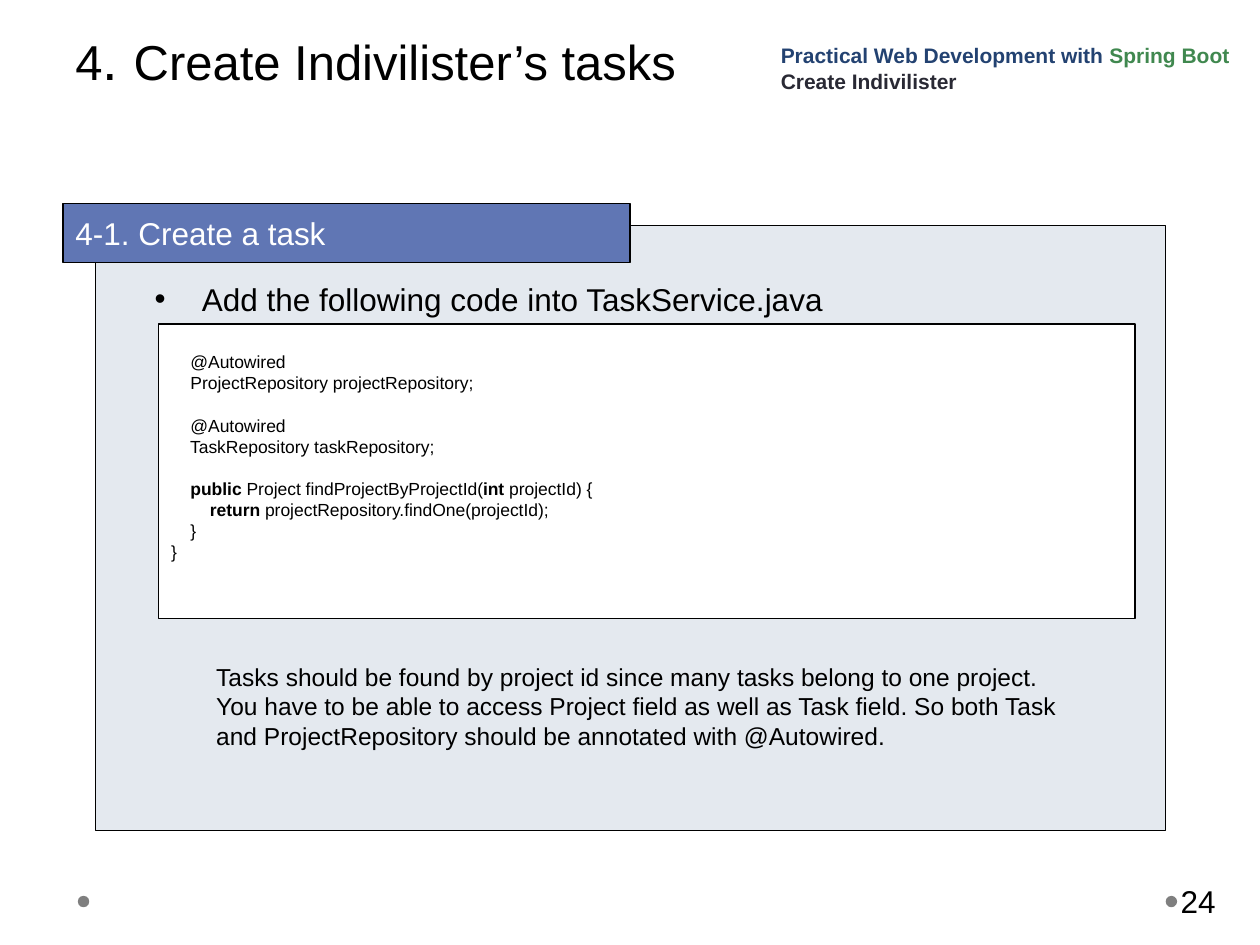
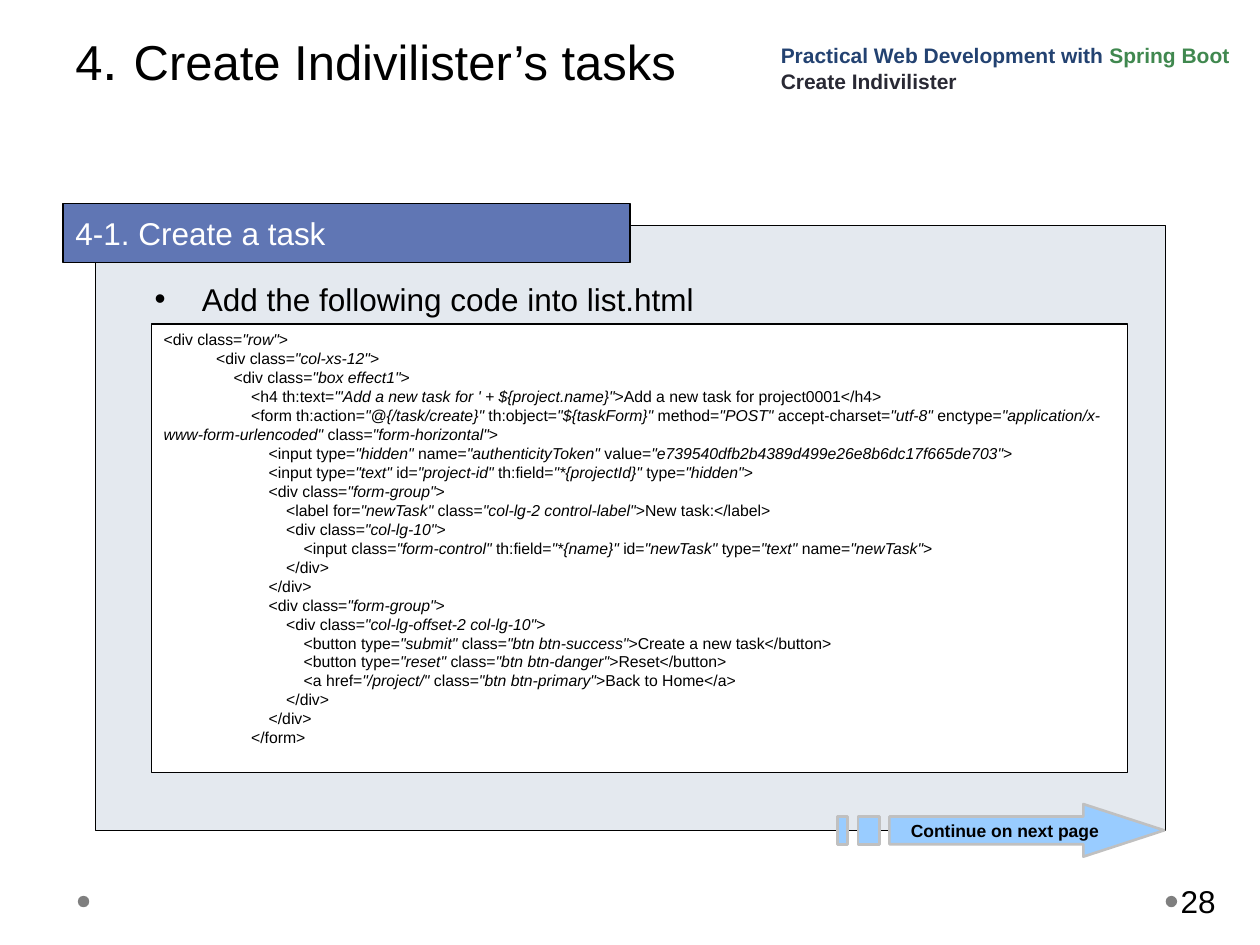
from pptx import Presentation
from pptx.dml.color import RGBColor
from pptx.enum.shapes import MSO_SHAPE
from pptx.enum.text import MSO_ANCHOR, PP_ALIGN
from pptx.oxml.ns import qn
from pptx.util import Cm, Pt
from lxml import etree

RECTANGLE, OVAL = MSO_SHAPE.RECTANGLE, MSO_SHAPE.OVAL
TOP, MIDDLE, BOTTOM = MSO_ANCHOR.TOP, MSO_ANCHOR.MIDDLE, MSO_ANCHOR.BOTTOM
LEFT, CENTER = PP_ALIGN.LEFT, PP_ALIGN.CENTER

BLACK = RGBColor(0x00, 0x00, 0x00)
WHITE = RGBColor(0xFF, 0xFF, 0xFF)
DOT_GREY = RGBColor(0x7F, 0x7F, 0x7F)
PANEL_GREY = RGBColor(0xE4, 0xE9, 0xEF)
HEADING_BLUE = RGBColor(0x60, 0x76, 0xB4)
COURSE_NAVY = RGBColor(0x23, 0x42, 0x71)
COURSE_GREEN = RGBColor(0x40, 0x88, 0x4F)
COURSE_DARK = RGBColor(0x29, 0x29, 0x34)
ARROW_BLUE = RGBColor(0x99, 0xCC, 0xFF)
ARROW_EDGE = RGBColor(0xC0, 0xC0, 0xC0)

FONT = "Arial"
LINE_PITCH = 1.205  # line distance as a multiple of the text size
INDENT = " " * 4

# Code lines as (indent level, text); an empty text is a gap
JAVA_CODE = [
    (0, ""),
    (1, "@Autowired"),
    (1, "ProjectRepository projectRepository;"),
    (0, ""),
    (1, "@Autowired"),
    (1, "TaskRepository taskRepository;"),
    (0, ""),
    (1, "**public** Project findProjectByProjectId(**int** projectId) {"),
    (2, "**return** projectRepository.findOne(projectId);"),
    (1, "}"),
    (0, "}"),
]

HTML_CODE = [
    (0, '<div class="row">'),
    (3, '<div class="col-xs-12">'),
    (4, '<div class="box effect1">'),
    (5, '<h4 th:text="\'Add a new task for \' + ${project.name}">Add a new task for project0001</h4>'),
    (5, '<form th:action="@{/task/create}" th:object="${taskForm}" method="POST" '
        'accept-charset="utf-8" enctype="application/x-www-form-urlencoded" class="form-horizontal">'),
    (6, '<input type="hidden" name="authenticityToken" value="e739540dfb2b4389d499e26e8b6dc17f665de703">'),
    (6, '<input type="text" id="project-id" th:field="*{projectId}" type="hidden">'),
    (6, '<div class="form-group">'),
    (7, '<label for="newTask" class="col-lg-2 control-label">New task:</label>'),
    (7, '<div class="col-lg-10">'),
    (8, '<input class="form-control" th:field="*{name}" id="newTask" type="text" name="newTask">'),
    (7, '</div>'),
    (6, '</div>'),
    (6, '<div class="form-group">'),
    (7, '<div class="col-lg-offset-2 col-lg-10">'),
    (8, '<button type="submit" class="btn btn-success">Create a new task</button>'),
    (8, '<button type="reset" class="btn btn-danger">Reset</button>'),
    (8, '<a href="/project/" class="btn btn-primary">Back to Home</a>'),
    (7, '</div>'),
    (6, '</div>'),
    (5, '</form>'),
]


# Basic elements
def paint(shape, fill, line=None, width=0.75):
    shape.shadow.inherit = False
    shape.fill.solid()
    shape.fill.fore_color.rgb = fill
    if line is None:
        shape.line.fill.background()
    else:
        shape.line.color.rgb = line
        shape.line.width = Pt(width)


def add_block(slide, kind, box, fill, line=None):
    shape = slide.shapes.add_shape(kind, *map(Cm, box))
    paint(shape, fill, line)
    return shape


def add_text_box(slide, box, anchor=TOP):
    frame = slide.shapes.add_textbox(*map(Cm, box)).text_frame
    frame.word_wrap = True
    frame.vertical_anchor = anchor
    return frame


def add_run(paragraph, text, size, color=BLACK, bold=False, italic=False):
    run = paragraph.add_run()
    run.text = text
    font = run.font
    font.name, font.size = FONT, Pt(size)
    font.bold, font.italic = bold, italic
    font.color.rgb = color


def set_pitch(paragraph, size):
    paragraph.line_spacing = Pt(LINE_PITCH * size)


# Parts found on every slide
def add_title(slide):
    title = add_text_box(slide, (1.27, 0.15, 14, 2.03), MIDDLE).paragraphs[0]
    for text, size in (("4", 28), (". ", 32), ("Create Indivilister’s tasks", 28)):
        add_run(title, text, size)


def add_course_label(slide):
    frame = add_text_box(slide, (15.49, 0.61, 9.91, 1.4), BOTTOM)
    course, chapter = frame.paragraphs[0], frame.add_paragraph()
    add_run(course, "Practical Web Development with ", 12, COURSE_NAVY, bold=True)
    add_run(course, "Spring Boot", 12, COURSE_GREEN, bold=True)
    add_run(chapter, "Create Indivilister", 12, COURSE_DARK, bold=True)
    for paragraph in (course, chapter):
        set_pitch(paragraph, 12)


def add_footer(slide, page):
    for left in (1.57, 23.5):
        add_block(slide, OVAL, (left, 18.06, 0.23, 0.23), DOT_GREY)
    frame = add_text_box(slide, (23.72, 17.65, 1.55, 1.02), MIDDLE)
    frame.margin_left, frame.margin_right = Cm(0.08), Cm(0.13)
    add_run(frame.paragraphs[0], page, 18)


def add_section(slide, heading):
    add_block(slide, RECTANGLE, (1.93, 4.55, 21.56, 12.19), PANEL_GREY, BLACK)
    band = add_block(slide, RECTANGLE, (1.27, 4.11, 11.43, 1.19), HEADING_BLUE, BLACK)
    band.text_frame.vertical_anchor = MIDDLE
    paragraph = band.text_frame.paragraphs[0]
    paragraph.alignment = LEFT
    add_run(paragraph, heading, 18, WHITE)


def add_instruction(slide, text):
    paragraph = add_text_box(slide, (2.87, 5.51, 19.66, 1.02)).paragraphs[0]
    properties = paragraph._p.get_or_add_pPr()
    properties.set("marL", str(Cm(0.95)))
    properties.set("indent", str(-Cm(0.95)))
    etree.SubElement(properties, qn("a:buFont")).set("typeface", FONT)
    etree.SubElement(properties, qn("a:buChar")).set("char", "•")
    set_pitch(paragraph, 18)
    add_run(paragraph, text, 18)


def start_slide(deck, page, instruction):
    slide = deck.slides.add_slide(deck.slide_layouts[6])
    add_footer(slide, page)
    add_section(slide, "4-1. Create a task")
    add_title(slide)
    add_instruction(slide, instruction)
    add_course_label(slide)
    return slide


# Code listings
def java_runs(line):
    """Text between double asterisks is a bold keyword."""
    for index, piece in enumerate(line.split("**")):
        yield piece, {"bold": index % 2 == 1}


def html_runs(line):
    """Quoted attribute values are italic."""
    for index, piece in enumerate(line.split('"')):
        quoted = index % 2 == 1
        yield (f'"{piece}"' if quoted else piece), {"italic": quoted}


def add_code(slide, box, code, size, split_runs):
    frame = add_block(slide, RECTANGLE, box, WHITE, BLACK).text_frame
    frame.word_wrap = True
    frame.vertical_anchor = TOP
    paragraph, gap = None, 0
    for level, line in code:
        if not line:
            gap += LINE_PITCH * size
            continue
        if paragraph is None:
            paragraph = frame.paragraphs[0]
            frame.margin_top += Pt(gap)
        else:
            paragraph = frame.add_paragraph()
            paragraph.space_before = Pt(gap)
        gap = 0
        paragraph.alignment = LEFT
        set_pitch(paragraph, size)
        for text, style in split_runs(INDENT * level + line):
            if text:
                add_run(paragraph, text, size, **style)


def add_note(slide, text):
    paragraph = add_text_box(slide, (4.11, 13.21, 17.83, 2.82)).paragraphs[0]
    set_pitch(paragraph, 14)
    add_run(paragraph, text, 14)


def add_continue_arrow(slide, text):
    tip_top, top, middle, bottom, tip_bottom = 16.21, 16.46, 16.74, 17.02, 17.27
    neck = 21.84
    head = [(neck, tip_top), (neck, top), (17.93, top), (17.93, bottom),
            (neck, bottom), (neck, tip_bottom), (23.47, middle)]
    stripes = [[(left, top), (left, bottom), (right, bottom), (right, top)]
               for left, right in ((17.3, 17.73), (16.89, 17.09))]
    builder = slide.shapes.build_freeform(Cm(neck), Cm(tip_top))
    for outline in (head, *stripes):
        points = [(Cm(x), Cm(y)) for x, y in outline]
        if outline is not head:
            builder.move_to(*points[0])
        builder.add_line_segments(points[1:], close=True)
    arrow = builder.convert_to_shape()
    paint(arrow, ARROW_BLUE, ARROW_EDGE, 1.5)
    frame = arrow.text_frame
    frame.word_wrap = False
    frame.vertical_anchor = MIDDLE
    frame.margin_left = Cm(0.4)
    frame.paragraphs[0].alignment = CENTER
    add_run(frame.paragraphs[0], text, 10, bold=True)


def main():
    deck = Presentation()
    deck.slide_width, deck.slide_height = Cm(25.4), Cm(19.05)

    # Service class
    service = start_slide(deck, "24", "Add the following code into TaskService.java")
    add_code(service, (3.2, 6.53, 19.68, 5.94), JAVA_CODE, 10, java_runs)
    add_note(service, "Tasks should be found by project id since many tasks belong to one "
                      "project. You have to be able to access Project field as well as Task "
                      "field. So both Task and ProjectRepository should be annotated with "
                      "@Autowired.")

    # List page
    list_page = start_slide(deck, "28", "Add the following code into list.html")
    add_code(list_page, (3.05, 6.53, 19.68, 9.04), HTML_CODE, 9, html_runs)
    add_continue_arrow(list_page, "Continue on next page")

    deck.save("out.pptx")


if __name__ == "__main__":
    main()
